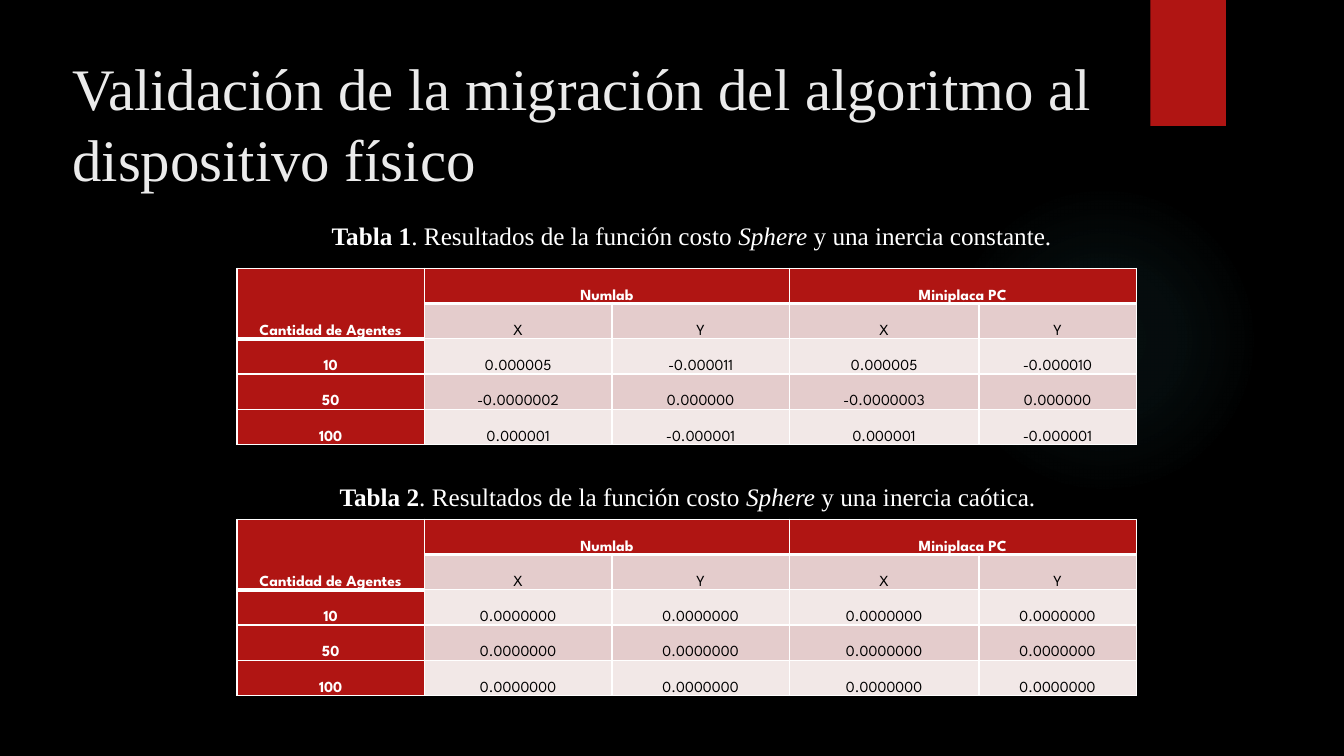
from lxml.etree import SubElement
from pptx import Presentation
from pptx.dml.color import RGBColor
from pptx.enum.shapes import MSO_SHAPE as Shape
from pptx.enum.text import MSO_ANCHOR as Anchor, PP_ALIGN as Align
from pptx.oxml import parse_xml
from pptx.oxml.ns import nsdecls, qn
from pptx.util import Inches, Pt

TITLE = "Validación de la migración del algoritmo al dispositivo físico"
AGENTS_HEADING = "Cantidad de Agentes"
PLATFORMS = ("Numlab", "Miniplaca PC")
AXES = ("X", "Y") * len(PLATFORMS)
AGENT_COUNTS = ("10", "50", "100")
STUDIES = [
    {
        "label": "Tabla 1",
        "inertia": "y una inercia constante.",
        "caption_at": (2.44, 2.14),
        "table_top": 2.66,
        "results": [
            ("0.000005", "-0.000011", "0.000005", "-0.000010"),
            ("-0.0000002", "0.000000", "-0.0000003", "0.000000"),
            ("0.000001", "-0.000001", "0.000001", "-0.000001"),
        ],
    },
    {
        "label": "Tabla 2",
        "inertia": "y una inercia caótica.",
        "caption_at": (2.4, 4.73),
        "table_top": 5.15,
        "results": [("0.0000000",) * len(AXES)] * len(AGENT_COUNTS),
    },
]

BLACK = RGBColor(0x00, 0x00, 0x00)
WHITE = RGBColor(0xFF, 0xFF, 0xFF)
TITLE_GREY = RGBColor(0xEB, 0xEB, 0xEB)
RED = RGBColor(0xB0, 0x15, 0x13)
BANDS = (RGBColor(0xF2, 0xE8, 0xE7), RGBColor(0xE4, 0xCC, 0xCC))
GLOW = RGBColor(0x50, 0xB9, 0xC1)
GLOW_STOPS = ((0, 7), (36, 6), (69, 0))

SERIF = "Times New Roman"
TABLE_FONT = "League Spartan"
TABLE_LEFT = 2.35
COLUMN_WIDTHS = (1.86, 1.86, 1.76, 1.88, 1.56)
ROW_HEIGHT = 0.35
THIN, THICK = 1, 3


def add_mark(slide, kind, left, top, width, height):
    mark = slide.shapes.add_shape(
        kind, Inches(left), Inches(top), Inches(width), Inches(height))
    mark.shadow.inherit = False
    mark.line.fill.background()
    return mark


def add_glow(slide):
    glow = add_mark(slide, Shape.OVAL, 9.41, 1.83, 3.08, 3.08)
    stops = "".join(
        f'<a:gs pos="{place * 1000}"><a:srgbClr val="{GLOW}">'
        f'<a:alpha val="{alpha * 1000}"/></a:srgbClr></a:gs>'
        for place, alpha in GLOW_STOPS)
    gradient = parse_xml(
        f'<a:gradFill {nsdecls("a")}><a:gsLst>{stops}</a:gsLst><a:path path="circle">'
        '<a:fillToRect l="50000" t="50000" r="50000" b="50000"/></a:path></a:gradFill>')
    glow._element.spPr.find(qn("a:prstGeom")).addnext(gradient)


def add_text(slide, runs, left, top, width, height, size, color, align):
    frame = slide.shapes.add_textbox(
        Inches(left), Inches(top), Inches(width), Inches(height)).text_frame
    frame.word_wrap = True
    frame.vertical_anchor = Anchor.MIDDLE
    paragraph = frame.paragraphs[0]
    paragraph.alignment = align
    paragraph.font.name = SERIF
    paragraph.font.size = Pt(size)
    paragraph.font.color.rgb = color
    for text, style in runs:
        run = paragraph.add_run()
        run.text = text
        if style:
            setattr(run.font, style, True)


def add_borders(cell, top, bottom):
    properties = cell._tc.get_or_add_tcPr()
    widths = {"lnL": THIN, "lnR": THIN, "lnT": top, "lnB": bottom}
    for place, (side, width) in enumerate(widths.items()):
        border = parse_xml(f'<a:{side} {nsdecls("a")} w="{Pt(width)}"/>')
        fill = SubElement(border, qn("a:solidFill"))
        SubElement(fill, qn("a:srgbClr"), val=str(WHITE))
        properties.insert(place, border)


def style_cell(cell, row, column):
    heading = row == 0 or column == 0
    cell.fill.solid()
    cell.fill.fore_color.rgb = RED if heading else BANDS[row % 2]
    cell.margin_left = cell.margin_right = cell.margin_top = Inches(0.01)
    cell.margin_bottom = 0
    cell.vertical_anchor = Anchor.BOTTOM
    paragraph = cell.text_frame.paragraphs[0]
    paragraph.alignment = Align.CENTER
    paragraph.font.name = TABLE_FONT
    paragraph.font.size = Pt(11)
    paragraph.font.bold = heading
    paragraph.font.color.rgb = WHITE if heading else BLACK
    last_heading_row = 1 if column == 0 else 0
    add_borders(cell,
                THICK if row == last_heading_row + 1 else THIN,
                THICK if row == last_heading_row else THIN)


def add_results(slide, top, results):
    platform_row = [AGENTS_HEADING]
    for platform in PLATFORMS:
        platform_row += [platform, ""]
    rows = [platform_row, ["", *AXES]]
    rows += [[count, *values] for count, values in zip(AGENT_COUNTS, results)]
    table = slide.shapes.add_table(
        len(rows), len(COLUMN_WIDTHS), Inches(TABLE_LEFT), Inches(top),
        Inches(sum(COLUMN_WIDTHS)), Inches(ROW_HEIGHT * len(rows))).table
    for column, width in zip(table.columns, COLUMN_WIDTHS):
        column.width = Inches(width)
    for r, texts in enumerate(rows):
        table.rows[r].height = Inches(ROW_HEIGHT)
        for c, text in enumerate(texts):
            table.cell(r, c).text = text
            style_cell(table.cell(r, c), r, c)
    table.cell(0, 0).merge(table.cell(1, 0))
    for c in range(1, len(COLUMN_WIDTHS), 2):
        table.cell(0, c).merge(table.cell(0, c + 1))


def main():
    deck = Presentation()
    deck.slide_width, deck.slide_height = Inches(13.33), Inches(7.5)
    slide = deck.slides.add_slide(deck.slide_layouts[6])
    slide.background.fill.solid()
    slide.background.fill.fore_color.rgb = BLACK

    add_glow(slide)
    ribbon = add_mark(slide, Shape.RECTANGLE, 11.41, 0, 0.75, 1.25)
    ribbon.fill.solid()
    ribbon.fill.fore_color.rgb = RED
    add_text(slide, [(TITLE, None)], 0.62, 0.41, 11.5, 1.61, 42, TITLE_GREY, Align.LEFT)

    for study in STUDIES:
        caption = [
            (study["label"], "bold"),
            (". Resultados de la función costo ", None),
            ("Sphere ", "italic"),
            (study["inertia"], None),
        ]
        add_text(slide, caption, *study["caption_at"], 8.84, 0.4, 18, WHITE, Align.CENTER)
        add_results(slide, study["table_top"], study["results"])

    deck.save("out.pptx")


if __name__ == "__main__":
    main()
